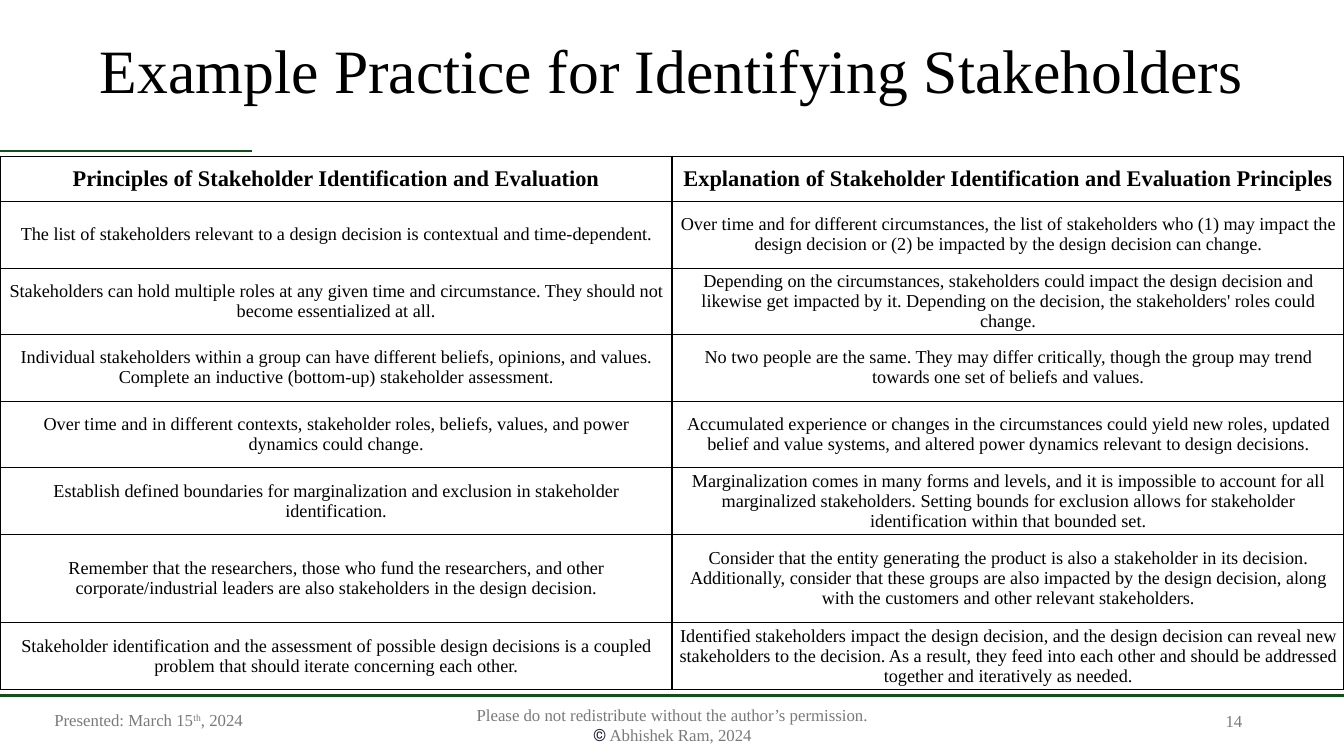
from lxml import etree
from pptx import Presentation
from pptx.dml.color import RGBColor
from pptx.enum.shapes import MSO_CONNECTOR
from pptx.enum.text import MSO_ANCHOR, PP_ALIGN
from pptx.oxml.ns import qn
from pptx.util import Inches, Pt

LEFT, CENTER, RIGHT = PP_ALIGN.LEFT, PP_ALIGN.CENTER, PP_ALIGN.RIGHT
MIDDLE = MSO_ANCHOR.MIDDLE
STRAIGHT = MSO_CONNECTOR.STRAIGHT
BLACK = RGBColor(0x00, 0x00, 0x00)
WHITE = RGBColor(0xFF, 0xFF, 0xFF)
GREEN = RGBColor(0x13, 0x50, 0x1B)
GRAY = RGBColor(0x79, 0x79, 0x79)
NAVY = RGBColor(0x1F, 0x1E, 0x33)
SLIDE_WIDTH = 13.33

PRINCIPLES = [
    ("Principles of Stakeholder Identification and Evaluation",
     "Explanation of Stakeholder Identification and Evaluation Principles"),
    ("The list of stakeholders relevant to a design decision is contextual and time-dependent.",
     "Over time and for different circumstances, the list of stakeholders who (1) may impact the "
     "design decision or (2) be impacted by the design decision can change."),
    ("Stakeholders can hold multiple roles at any given time and circumstance. They should not "
     "become essentialized at all.",
     "Depending on the circumstances, stakeholders could impact the design decision and likewise "
     "get impacted by it. Depending on the decision, the stakeholders' roles could change."),
    ("Individual stakeholders within a group can have different beliefs, opinions, and values. "
     "Complete an inductive (bottom-up) stakeholder assessment.",
     "No two people are the same. They may differ critically, though the group may trend towards "
     "one set of beliefs and values."),
    ("Over time and in different contexts, stakeholder roles, beliefs, values, and power dynamics "
     "could change.",
     "Accumulated experience or changes in the circumstances could yield new roles, updated belief "
     "and value systems, and altered power dynamics relevant to design decisions."),
    ("Establish defined boundaries for marginalization and exclusion in stakeholder identification.",
     "Marginalization comes in many forms and levels, and it is impossible to account for all "
     "marginalized stakeholders. Setting bounds for exclusion allows for stakeholder identification "
     "within that bounded set."),
    ("Remember that the researchers, those who fund the researchers, and other corporate/industrial "
     "leaders are also stakeholders in the design decision.",
     "Consider that the entity generating the product is also a stakeholder in its decision. "
     "Additionally, consider that these groups are also impacted by the design decision, along with "
     "the customers and other relevant stakeholders."),
    ("Stakeholder identification and the assessment of possible design decisions is a coupled "
     "problem that should iterate concerning each other.",
     "Identified stakeholders impact the design decision, and the design decision can reveal new "
     "stakeholders to the decision. As a result, they feed into each other and should be addressed "
     "together and iteratively as needed."),
]
ROW_HEIGHTS = [0.45, 0.66, 0.66, 0.66, 0.66, 0.66, 0.88, 0.66]


def add_span(para, text, size=12, color=GRAY, font="Times New Roman", bold=False, raised=False):
    span = para.add_run()
    span.text = text
    span.font.size = Pt(size)
    span.font.name = font
    span.font.bold = bold
    span.font.color.rgb = color
    if raised:
        span.font._element.set("baseline", "30000")


def add_box(left, top, width, height, align):
    """Add a wrapping, vertically centred text box and return its text frame."""
    box = slide.shapes.add_textbox(Inches(left), Inches(top), Inches(width), Inches(height))
    frame = box.text_frame
    frame.word_wrap = True
    frame.vertical_anchor = MIDDLE
    frame.paragraphs[0].alignment = align
    return frame


deck = Presentation()
deck.slide_width, deck.slide_height = Inches(SLIDE_WIDTH), Inches(7.5)
slide = deck.slides.add_slide(deck.slide_layouts[6])

# Title
title = add_box(0, 0, SLIDE_WIDTH, 1.45, CENTER).paragraphs[0]
title.line_spacing = 0.9
add_span(title, "Example Practice for Identifying Stakeholders", size=44, color=BLACK)

# Table of principles
table = slide.shapes.add_table(
    len(PRINCIPLES), 2, 0, Inches(1.55), Inches(SLIDE_WIDTH), Inches(sum(ROW_HEIGHTS))).table
table.first_row = table.horz_banding = False
for column in table.columns:
    column.width = Inches(SLIDE_WIDTH / 2)
for row_index, (texts, height) in enumerate(zip(PRINCIPLES, ROW_HEIGHTS)):
    table.rows[row_index].height = Inches(height)
    header = row_index == 0
    for column_index, text in enumerate(texts):
        cell = table.cell(row_index, column_index)
        cell.margin_left = cell.margin_right = Inches(0.07)
        cell.margin_top = cell.margin_bottom = 0
        cell.vertical_anchor = MIDDLE
        cell_properties = cell._tc.get_or_add_tcPr()
        for side in ("a:lnL", "a:lnR", "a:lnT", "a:lnB"):
            border = etree.SubElement(cell_properties, qn(side), w=str(Pt(1)))
            border_fill = etree.SubElement(border, qn("a:solidFill"))
            etree.SubElement(border_fill, qn("a:srgbClr"), val=str(BLACK))
        cell.fill.solid()
        cell.fill.fore_color.rgb = WHITE
        para = cell.text_frame.paragraphs[0]
        para.alignment = CENTER
        para.space_before = para.space_after = Pt(6)
        add_span(para, text, size=16 if header else 13, color=BLACK, bold=header)

# Rules above the footer and below the title
for length, top in ((SLIDE_WIDTH, 6.9), (2.5, 1.5)):
    rule = slide.shapes.add_connector(STRAIGHT, 0, Inches(top), Inches(length), Inches(top))
    rule.line.color.rgb = GREEN
    rule.line.width = Pt(1.5)
    etree.SubElement(rule._element.spPr, qn("a:effectLst"))

# Footer
date = add_box(0.44, 6.95, 2.11, 0.4, LEFT).paragraphs[0]
date.line_spacing = 0.9
date.space_before = Pt(10)
add_span(date, "Presented: March 15")
add_span(date, "th", raised=True)
add_span(date, ", 2024")

notice = add_box(4.42, 6.99, 4.5, 0.4, CENTER)
add_span(notice.paragraphs[0], "Please do not redistribute without the author’s permission.")
author = notice.add_paragraph()
author.alignment = CENTER
add_span(author, "©", font="Roboto", color=NAVY)
add_span(author, " Abhishek Ram, 2024")

page_number = add_box(9.42, 6.95, 3, 0.4, RIGHT).paragraphs[0]
add_span(page_number, "14")

deck.save("out.pptx")
